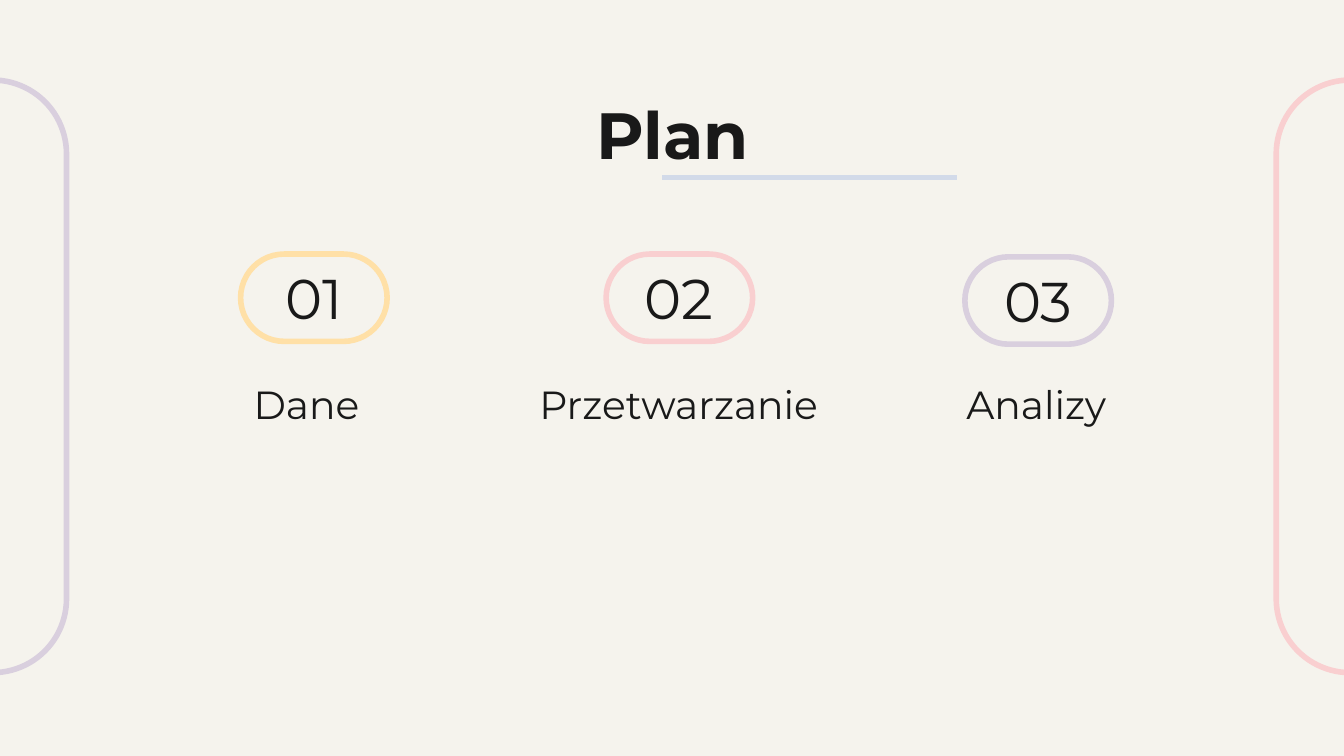
from lxml import etree
from pptx import Presentation
from pptx.dml.color import RGBColor
from pptx.enum import shapes, text
from pptx.oxml import ns
from pptx.util import Pt

PAPER = RGBColor(0xF5, 0xF3, 0xED)
INK = RGBColor(0x19, 0x19, 0x19)
LILAC = RGBColor(0xD9, 0xCF, 0xDE)
PINK = RGBColor(0xF9, 0xCF, 0xD0)
YELLOW = RGBColor(0xFF, 0xE0, 0xA7)
BLUE = RGBColor(0xD2, 0xDA, 0xE9)

FONT = "Montserrat"
STROKE = 3
INSET = 7.2
PAGE_WIDTH, PAGE_HEIGHT = 720, 405


def add_pill(page, left, top, width, height, color, rotation=0):
    """Draw an unfilled, fully rounded outline."""
    pill = page.shapes.add_shape(
        shapes.MSO_SHAPE.ROUNDED_RECTANGLE, Pt(left), Pt(top), Pt(width), Pt(height))
    pill.adjustments[0] = 0.5
    pill.rotation = rotation
    pill.shadow.inherit = False
    pill.fill.background()
    pill.line.color.rgb = color
    pill.line.width = Pt(STROKE)


def add_label(page, left, top, width, height, words, size,
              bold=False, anchor=text.MSO_ANCHOR.TOP):
    """Place one centred line of text in the given box."""
    box = page.shapes.add_textbox(Pt(left), Pt(top), Pt(width), Pt(height))
    frame = box.text_frame
    frame.word_wrap = True
    frame.vertical_anchor = anchor
    frame.margin_left = frame.margin_right = Pt(INSET)
    frame.margin_top = frame.margin_bottom = Pt(INSET)
    para = frame.paragraphs[0]
    para.text = words
    para.alignment = text.PP_ALIGN.CENTER
    para.font.name = FONT
    para.font.size = Pt(size)
    para.font.bold = bold
    para.font.color.rgb = INK


def add_side_frames(page, middle, width, height):
    """Draw the two upright frames that run over the side edges."""
    for center, color in ((-4, LILAC), (PAGE_WIDTH + 3.3, PINK)):
        add_pill(page, center - height / 2, middle - width / 2,
                 height, width, color, rotation=90)


def add_heading(page, left, top, width, height):
    """Place the slide title and the rule beneath it."""
    add_label(page, left, top, width, height, "Plan", 35, bold=True)
    start, level = left + 298, top + 51.9
    rule = page.shapes.add_connector(
        shapes.MSO_CONNECTOR.STRAIGHT, Pt(start), Pt(level), Pt(start + 158), Pt(level))
    rule.line.color.rgb = BLUE
    rule.line.width = Pt(STROKE)
    etree.SubElement(rule.element.spPr, ns.qn("a:effectLst"))


def add_step(page, left, top, width, height, number, name, color, pill_left, drop):
    """Place a numbered pill with the step name at the bottom of the box."""
    pill_width, pill_height, number_width = 78.5, 46.8, 55.4
    name_height = 41.8
    pill_x, pill_y = left + pill_left, top + drop
    add_pill(page, pill_x, pill_y, pill_width, pill_height, color)
    add_label(page, pill_x + (pill_width - number_width) / 2, pill_y - 2,
              number_width, pill_height, number, 30)
    add_label(page, left, top + height - name_height, width, name_height, name, 21,
              anchor=text.MSO_ANCHOR.BOTTOM)


def main():
    """Build the plan slide and save it."""
    deck = Presentation()
    deck.slide_width, deck.slide_height = Pt(PAGE_WIDTH), Pt(PAGE_HEIGHT)
    page = deck.slides.add_slide(deck.slide_layouts[6])
    page.background.fill.solid()
    page.background.fill.fore_color.rgb = PAPER

    add_side_frames(page, 201.6, 79.2, 317.5)
    add_heading(page, 56.9, 43.2, 607, 45.4)
    steps = (
        (52.6, "01", "Dane", YELLOW, 76.3, 0),
        (252, "02", "Przetwarzanie", PINK, 72.7, 0),
        (443.5, "03", "Analizy", LILAC, 73.4, 1.5),
    )
    for left, *details in steps:
        add_step(page, left, 136.1, 223.2, 100.1, *details)
    deck.save("out.pptx")


if __name__ == "__main__":
    main()
